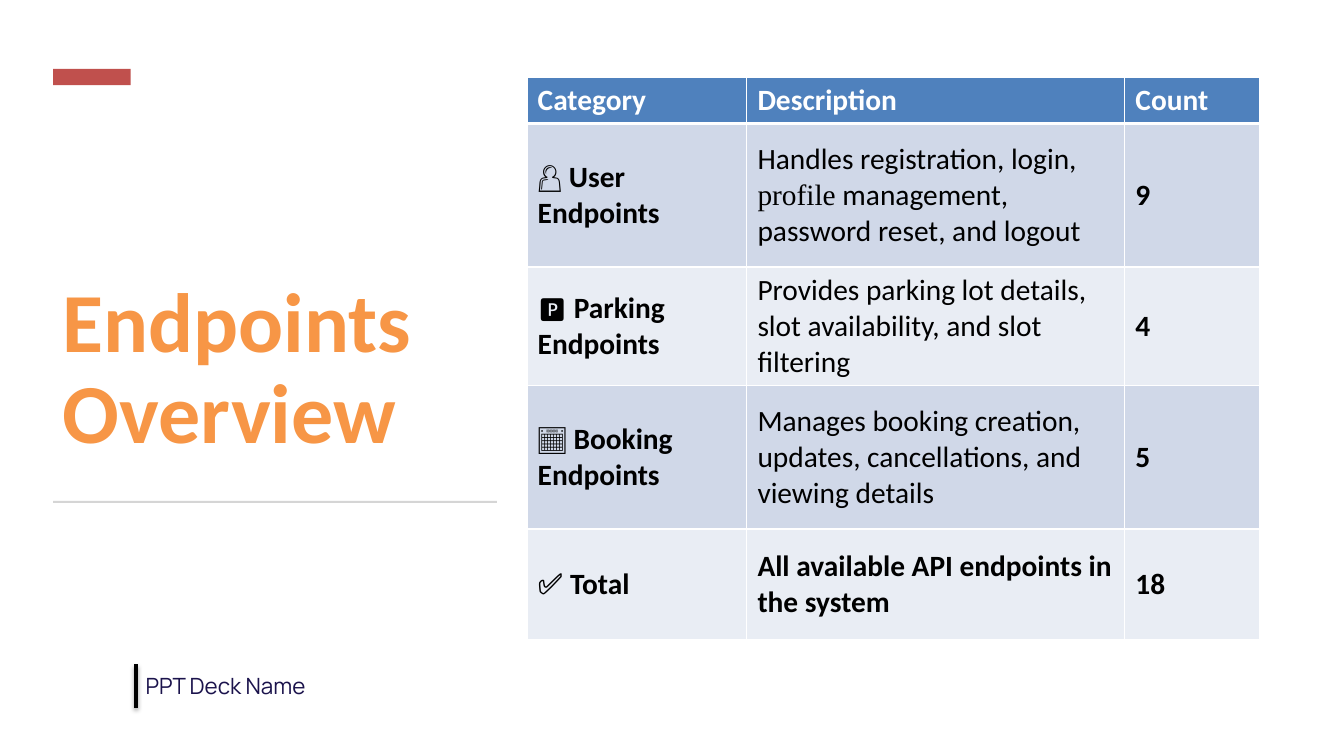
from dataclasses import dataclass

from lxml import etree
from pptx import Presentation
from pptx import util as u
from pptx.dml.color import RGBColor
from pptx.enum import shapes, text
from pptx.oxml import ns


@dataclass(frozen=True)
class Theme:
    """Colours, fonts and type sizes of the deck."""
    title: str = "F79646"
    accent: str = "C0504D"
    rule: str = "D5D5D5"
    header: str = "4F81BD"
    bands: tuple = ("D0D8E8", "E9EDF4")
    white: str = "FFFFFF"
    black: str = "000000"
    footer: str = "1B134C"
    font: str = "Calibri"
    serif: str = "Times New Roman"
    footer_font: str = "Manrope"
    title_size: int = 60
    table_size: int = 21
    footer_size: int = 16


class SlideBuilder:
    """Draws styled elements on the current page."""

    def __init__(self, page, theme):
        """Keep the page and its theme."""
        self.page = page
        self.theme = theme

    def style(self, span, size, color, font, bold=False):
        """Format one run."""
        span.font.size = u.Pt(size)
        span.font.name = font
        span.font.bold = bold
        span.font.color.rgb = RGBColor.from_string(color)

    def title(self, words, left, top, width, height):
        """Fill and place the title placeholder."""
        box = self.page.shapes.title
        box.left, box.top, box.width, box.height = map(u.Pt, (left, top, width, height))
        frame = box.text_frame
        frame.text = words
        frame.word_wrap = True
        frame.auto_size = text.MSO_AUTO_SIZE.NONE
        frame.vertical_anchor = text.MSO_ANCHOR.BOTTOM
        para = frame.paragraphs[0]
        para.alignment = text.PP_ALIGN.LEFT
        para.line_spacing = 0.9
        self.style(para.runs[0], self.theme.title_size, self.theme.title, self.theme.font, True)

    def bar(self, color, left, top, width, height):
        """Draw a plain filled rectangle."""
        bar = self.page.shapes.add_shape(
            shapes.MSO_SHAPE.RECTANGLE, *map(u.Pt, (left, top, width, height)))
        bar.shadow.inherit = False
        bar.fill.solid()
        bar.fill.fore_color.rgb = RGBColor.from_string(color)
        bar.line.fill.background()

    def footer(self, words, left, top, width, height):
        """Write the deck name."""
        box = self.page.shapes.add_textbox(*map(u.Pt, (left, top, width, height)))
        frame = box.text_frame
        frame.word_wrap = True
        frame.text = words
        self.style(frame.paragraphs[0].runs[0], self.theme.footer_size,
                   self.theme.footer, self.theme.footer_font)

    def shadowed_line(self, left, top, bottom, weight):
        """Draw a vertical line with a soft shadow below it."""
        line = self.page.shapes.add_connector(
            shapes.MSO_CONNECTOR.STRAIGHT, *map(u.Pt, (left, top, left, bottom)))
        line.line.width = u.Pt(weight)
        line.line.color.rgb = RGBColor.from_string(self.theme.black)
        effects = etree.SubElement(line._element.spPr, ns.qn("a:effectLst"))
        shadow = etree.SubElement(effects, ns.qn("a:outerShdw"), blurRad=str(u.Pt(3.1)),
                                  dist=str(u.Pt(1.8)), dir="5400000", rotWithShape="0")
        color = etree.SubElement(shadow, ns.qn("a:srgbClr"), val=self.theme.black)
        etree.SubElement(color, ns.qn("a:alpha"), val="35000")

    def borders(self, cell, top, bottom):
        """Give a cell white borders, with chosen top and bottom weights."""
        properties = cell._tc.get_or_add_tcPr()
        for side, weight in (("L", 1), ("R", 1), ("T", top), ("B", bottom)):
            edge = etree.SubElement(properties, ns.qn(f"a:ln{side}"), w=str(u.Pt(weight)))
            fill = etree.SubElement(edge, ns.qn("a:solidFill"))
            etree.SubElement(fill, ns.qn("a:srgbClr"), val=self.theme.white)

    def cell(self, cell, spans, fill, color):
        """Fill a cell with (words, bold, font) spans."""
        cell.fill.solid()
        cell.fill.fore_color.rgb = RGBColor.from_string(fill)
        cell.vertical_anchor = text.MSO_ANCHOR.MIDDLE
        cell.margin_left = cell.margin_right = u.Pt(7.6)
        cell.margin_top = cell.margin_bottom = u.Pt(3.8)
        para = cell.text_frame.paragraphs[0]
        for words, bold, font in spans:
            span = para.add_run()
            span.text = words
            self.style(span, self.theme.table_size, color, font, bold)

    def table(self, rows, left, top, widths, heights):
        """Draw a banded table with a header row."""
        frame = self.page.shapes.add_table(
            len(rows), len(widths), *map(u.Pt, (left, top, sum(widths), sum(heights))))
        table = frame.table
        for column, width in zip(table.columns, widths):
            column.width = u.Pt(width)
        for index, (row, height) in enumerate(zip(rows, heights)):
            table.rows[index].height = u.Pt(height)
            header = index == 0
            fill = self.theme.header if header else self.theme.bands[(index - 1) % 2]
            color = self.theme.white if header else self.theme.black
            for cell, spans in zip(table.rows[index].cells, row):
                self.borders(cell, 3 if index == 1 else 1, 3 if header else 1)
                self.cell(cell, spans, fill, color)


def endpoint_rows(theme):
    """Return the table rows as lists of spans."""
    def plain(words, font=theme.font):
        return words, False, font

    def strong(words):
        return words, True, theme.font

    return [
        [[strong("Category")], [strong("Description")], [strong("Count")]],
        [[plain("👤 "), strong("User Endpoints")],
         [plain("Handles registration, login, "), plain("profile", theme.serif),
          plain(" management, password reset, and logout")],
         [strong("9")]],
        [[plain("🅿️ "), strong("Parking Endpoints")],
         [plain("Provides parking lot details, slot availability, and slot filtering")],
         [strong("4")]],
        [[plain("📅 "), strong("Booking Endpoints")],
         [plain("Manages booking creation, updates, cancellations, and viewing details")],
         [strong("5")]],
        [[plain("✅ "), strong("Total")],
         [strong("All available API endpoints in the system")],
         [strong("18")]],
    ]


def main():
    """Build and save the deck."""
    deck = Presentation()
    deck.slide_width, deck.slide_height = u.Pt(960), u.Pt(540)
    theme = Theme()
    builder = SlideBuilder(deck.slides.add_slide(deck.slide_layouts[5]), theme)
    builder.title("Endpoints Overview", 37.5, 88.5, 317, 245)
    builder.bar(theme.accent, 38, 49.3, 55.4, 11.5)
    builder.bar(theme.rule, 38, 357.8, 317, 1.4)
    builder.table(endpoint_rows(theme), 376.5, 55,
                  widths=(157, 270, 96), heights=(33, 102.5, 82, 102.5, 79))
    builder.footer("PPT Deck Name", 97, 476.5, 345, 26.5)
    builder.shadowed_line(97, 474.5, 505.5, weight=3)
    deck.save("out.pptx")


if __name__ == "__main__":
    main()
